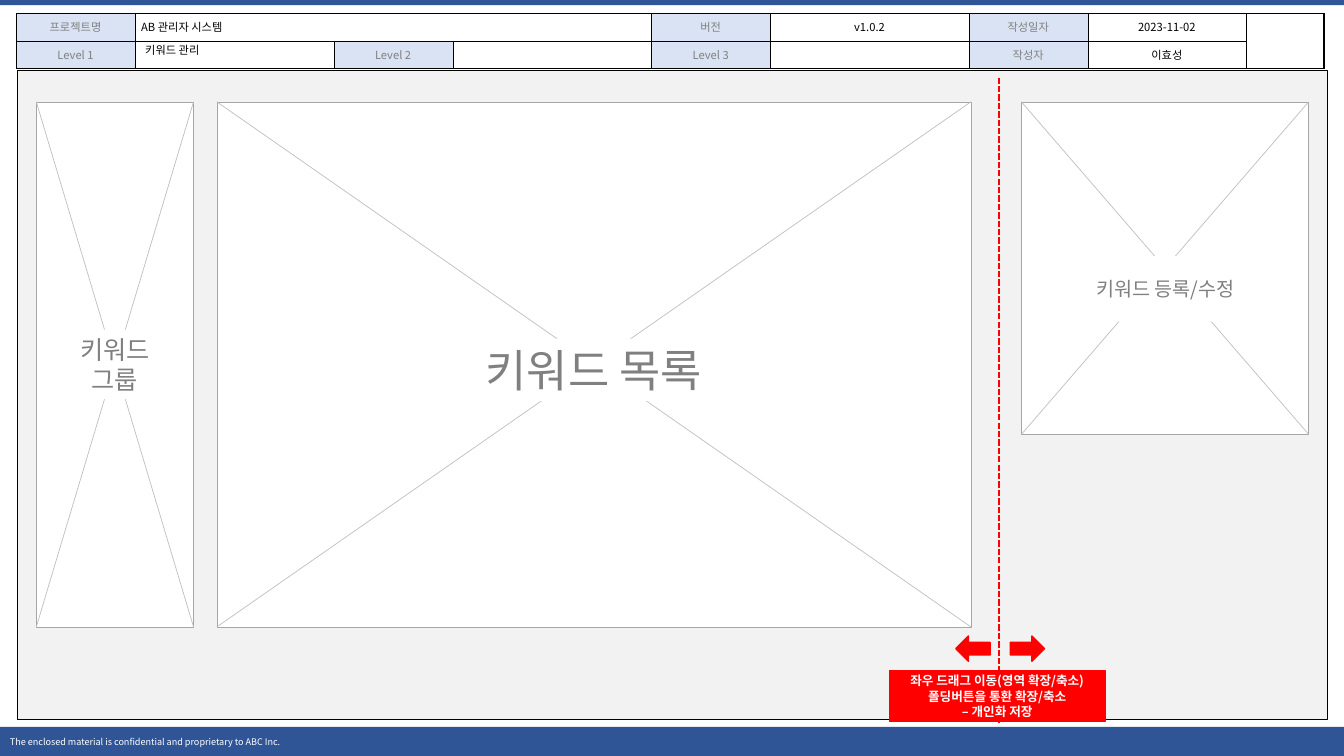
from lxml import etree
from pptx import Presentation
from pptx.dml.color import RGBColor
from pptx.enum.dml import MSO_LINE
from pptx.enum.shapes import MSO_CONNECTOR, MSO_SHAPE
from pptx.enum.text import MSO_ANCHOR, MSO_AUTO_SIZE, PP_ALIGN
from pptx.oxml import parse_xml
from pptx.oxml.ns import nsdecls, qn
from pptx.util import Inches, Pt

NAVY, PALE, GREY, RED = "2F5597", "DAE3F3", "808080", "FF0000"
BLACK, WHITE = "000000", "FFFFFF"


def rgb(value):
    return RGBColor.from_string(value)


def inches(values):
    return [Inches(v) for v in values]


class Wireframe:
    font = "Noto Sans CJK KR"

    def __init__(self, prs):
        self.s = prs.slides.add_slide(prs.slide_layouts[5])

    def set_text(self, tf, text, size, color, align=PP_ALIGN.CENTER, bold=False):
        tf.text = text
        for p in tf.paragraphs:
            p.alignment = align
            for r in p.runs:
                f = r.font
                f.name, f.size, f.bold = self.font, Pt(size), bold
                f.color.rgb = rgb(color)
                ea = etree.SubElement(r._r.get_or_add_rPr(), qn("a:ea"))
                ea.set("typeface", self.font)

    def title(self, text, box, size):
        sp = self.s.shapes.title
        sp.left, sp.top, sp.width, sp.height = inches(box)
        tf = sp.text_frame
        self.set_text(tf, text, size, BLACK, PP_ALIGN.LEFT)
        tf.auto_size, tf.vertical_anchor = MSO_AUTO_SIZE.NONE, MSO_ANCHOR.MIDDLE
        tf.paragraphs[0].line_spacing = 0.9
        tf.paragraphs[0].space_before = Pt(10)

    def shape(self, box, fill, line=None, width=0.25, kind=MSO_SHAPE.RECTANGLE, parent=None):
        sp = (parent or self.s).shapes.add_shape(kind, *inches(box))
        sp.shadow.inherit = False
        sp.fill.solid()
        sp.fill.fore_color.rgb = rgb(fill)
        if line:
            sp.line.color.rgb = rgb(line)
            sp.line.width = Pt(width)
        else:
            sp.line.fill.background()
        sp.text_frame.vertical_anchor = MSO_ANCHOR.MIDDLE
        return sp

    def line(self, ends, color, width, dash=None, parent=None):
        cx = (parent or self.s).shapes.add_connector(MSO_CONNECTOR.STRAIGHT, *inches(ends))
        cx.line.color.rgb = rgb(color)
        cx.line.width = Pt(width)
        if dash:
            cx.line.dash_style = dash
        etree.SubElement(cx._element.spPr, qn("a:effectLst"))

    def area(self, box, text, size, label_box):
        """Crossed-out frame with a label in the middle."""
        group = self.s.shapes.add_group_shape()
        x, y, w, h = box
        self.shape(box, WHITE, "A6A6A6", parent=group)
        for start, end in ((y, y + h), (y + h, y)):
            self.line((x, start, x + w, end), "BFBFBF", 0.5, parent=group)
        tf = self.shape(label_box, WHITE, parent=group).text_frame
        tf.word_wrap = False
        tf.margin_left = tf.margin_right = tf.margin_top = tf.margin_bottom = Inches(0.04)
        self.set_text(tf, text, size, GREY)

    def cell(self, cell, text, label, align, spacing, thick):
        cell.margin_left = cell.margin_right = Inches(0.06)
        cell.margin_top = cell.margin_bottom = Inches(0.05)
        p = cell.text_frame.paragraphs[0]
        if text:
            self.set_text(cell.text_frame, text, 8, GREY if label else BLACK, align)
            p.line_spacing = spacing
        else:
            p._p.get_or_add_endParaRPr().set("sz", "800")
        tcPr = cell._tc.get_or_add_tcPr()
        for side in "LRTB":
            width = Pt(1.5 if side in thick else 0.25)
            tcPr.append(parse_xml(
                f'<a:ln{side} {nsdecls("a")} w="{width}"><a:solidFill>'
                f'<a:srgbClr val="{BLACK}"/></a:solidFill></a:ln{side}>'))
        if label:
            cell.fill.solid()
            cell.fill.fore_color.rgb = rgb(PALE)
        else:
            cell.fill.background()

    def info_table(self, left, top, widths, heights, rows):
        frame = self.s.shapes.add_table(
            len(rows), len(widths), *inches((left, top, sum(widths), sum(heights))))
        table = frame.table
        table.first_row = table.horz_banding = False
        for col, width in zip(table.columns, widths):
            col.width = Inches(width)
        for row, height in zip(table.rows, heights):
            row.height = Inches(height)
        last = len(widths) - 1
        for i, row in enumerate(rows):
            for j, text in enumerate(row):
                thick = ("R" if j == last else "") + ("B" if i or j == last else "")
                label = j in (0, 4, 6) or (i == 1 and j == 2)
                align = PP_ALIGN.LEFT if j == 1 else PP_ALIGN.CENTER
                spacing = 1.2 if i == 0 and j in (1, 4, 5) else 1.0
                self.cell(table.cell(i, j), text, label, align, spacing, thick)
        table.cell(0, 1).merge(table.cell(0, 3))
        table.cell(0, last).merge(table.cell(1, last))


def main():
    prs = Presentation()
    prs.slide_width, prs.slide_height = Inches(13.33), Inches(7.5)
    w = Wireframe(prs)

    # Page bars
    w.shape((0, 0, 13.33, 0.05), NAVY)
    tf = w.shape((0, 7.21, 13.33, 0.29), NAVY).text_frame
    tf.word_wrap = False
    w.set_text(tf, "The enclosed material is confidential and proprietary to ABC Inc.",
               6.5, WHITE, PP_ALIGN.LEFT)

    # Document information
    w.info_table(0.16, 0.13, [1.18, 1.97] * 3 + [1.18, 1.57, 0.77], [0.28, 0.27], [
        ["프로젝트명", "AB 관리자 시스템", "", "", "버전", "v1.0.2", "작성일자", "2023-11-02", ""],
        ["Level 1", "", "Level 2", "", "Level 3", "", "작성자", "이효성", ""],
    ])
    w.title("키워드 관리", (1.34, 0.38, 1.97, 0.24), 8)

    # Canvas and draggable divider
    w.shape((0.17, 0.7, 12.99, 6.44), "F2F2F2", BLACK)
    w.line((9.91, 0.77, 9.91, 7.18), RED, 1.5, MSO_LINE.SQUARE_DOT)
    for left, angle in ((10.02, 0), (9.48, 180)):
        arrow = w.shape((left, 6.31, 0.34, 0.25), RED, RED, 1, MSO_SHAPE.RIGHT_ARROW)
        arrow.rotation = angle
    note = w.shape((8.82, 6.65, 2.14, 0.51), RED, RED, 1)
    w.set_text(note.text_frame,
               "좌우 드래그 이동(영역 확장/축소)\n폴딩버튼을 통환 확장/축소\n– 개인화 저장",
               9, WHITE, bold=True)

    # Screen areas
    w.area((2.15, 1.01, 7.48, 5.21), "키워드 목록", 32, (4.65, 3.36, 2.48, 0.62))
    w.area((10.13, 1.01, 2.85, 3.3), "키워드 등록/수정", 14, (10.76, 2.54, 1.6, 0.65))
    w.area((0.36, 1.01, 1.56, 5.21), "키워드\n그룹", 18, (0.72, 3.27, 0.84, 0.69))

    prs.save("out.pptx")


if __name__ == "__main__":
    main()
